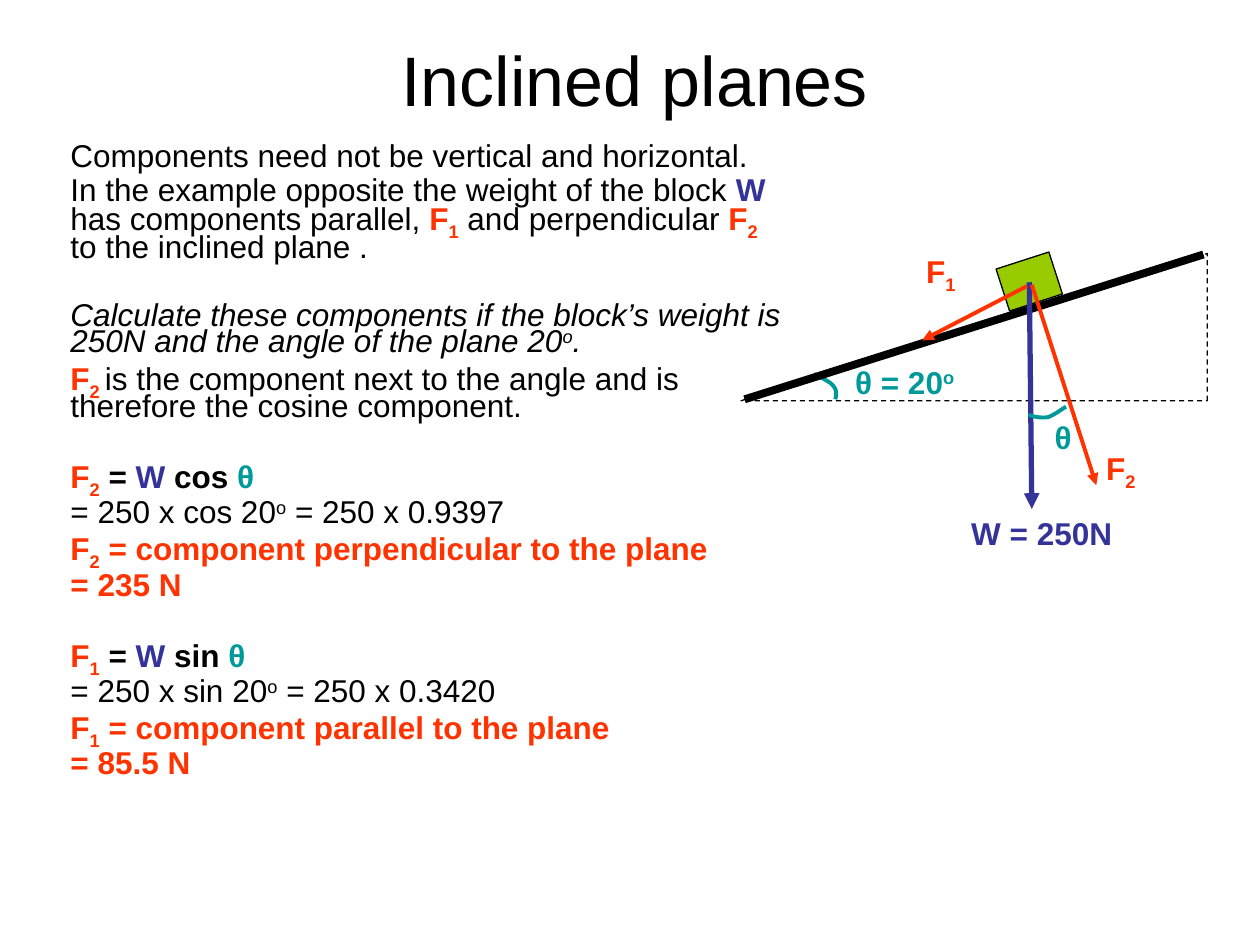
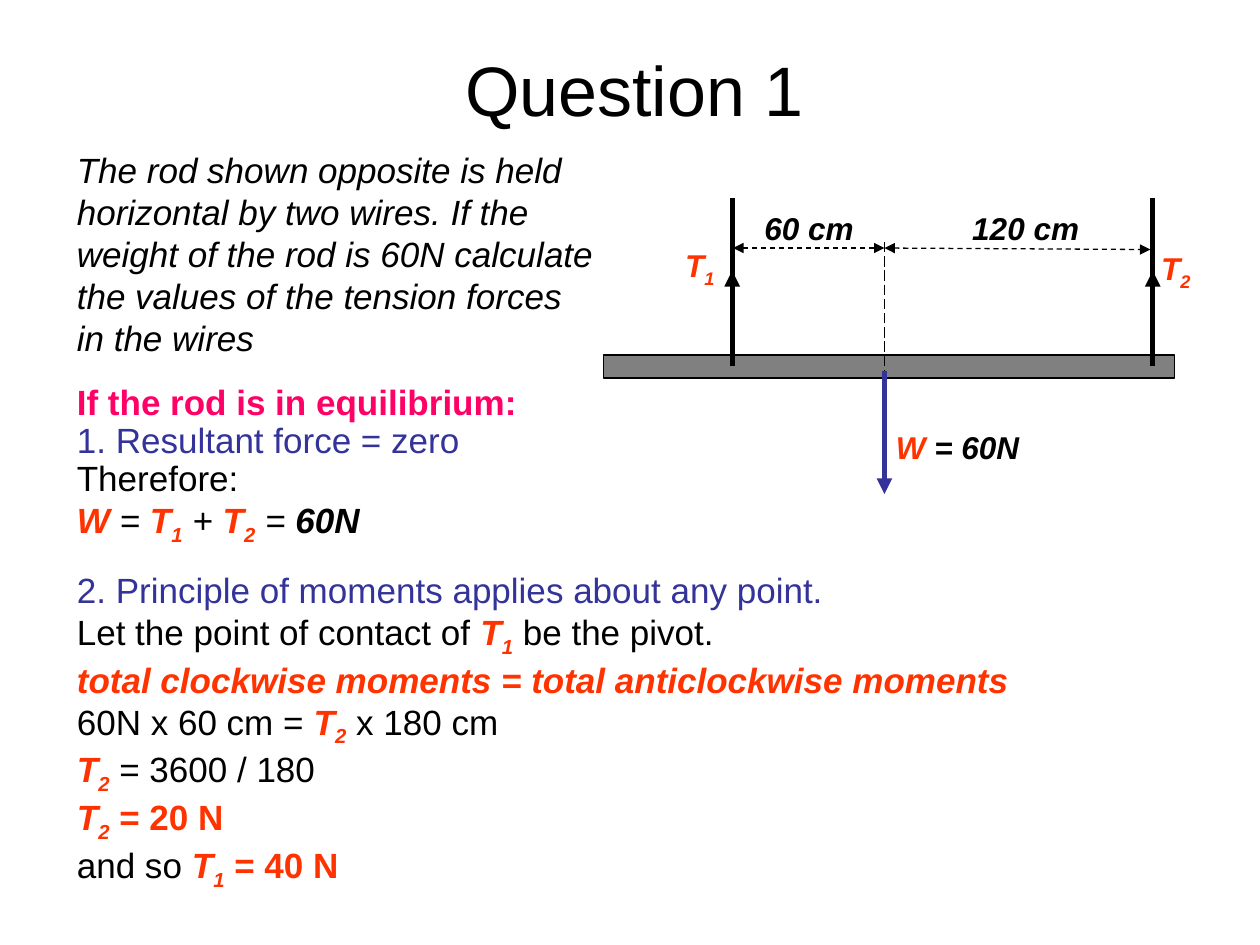
import dataclasses

import lxml.etree
import pptx
import pptx.dml.color
import pptx.enum.dml
import pptx.enum.shapes
import pptx.enum.text
import pptx.oxml.ns
import pptx.util

Cm = pptx.util.Cm
Pt = pptx.util.Pt
DASH = pptx.enum.dml.MSO_LINE.DASH
LONG_DASH = pptx.enum.dml.MSO_LINE.LONG_DASH


@dataclasses.dataclass(frozen=True)
class Theme:
    font: str = "Arial"
    title_size: int = 40
    text_size: int = 20
    small_size: int = 18
    black: str = "000000"
    red: str = "FF3300"
    blue: str = "333399"
    teal: str = "009999"
    pink: str = "FF0066"
    green: str = "99CC00"
    grey: str = "808080"
    hairline: float = 0.75
    force_line: float = 2.25
    heavy_line: float = 3
    plane_line: float = 4.5


THEME = Theme()
FORMATS = {"b": {"bold": True}, "i": {"italic": True}}
BASELINES = {"sub": "-25000", "sup": "30000"}


# Content: a run is (text, style words), a paragraph is a list of runs,
# and a block is a list of paragraphs set apart from the next block.
def symbol(letter, index, style="red b"):
    return [(letter, style), (index, style + " sub")]


F1, F2 = symbol("F", "1"), symbol("F", "2")
T1, T2 = symbol("T", "1", "red b i"), symbol("T", "2", "red b i")


def force_working(force, function, value, direction, result):
    return [
        [*force, (" = ", "b"), ("W", "blue b"), (f" {function} ", "b"), ("θ", "teal b")],
        [(f"= 250 x {function} 20", ""), ("o", "sup"), (f" = 250 x {value}", "")],
        [*force, (f" = component {direction} to the plane", "red b")],
        [(f"= {result} N", "red b")],
    ]


PLANE_TEXT = [
    [
        [("Components need not be vertical and horizontal.", "")],
        [("In the example opposite the weight of the block ", ""), ("W", "blue b"),
         (" has components parallel, ", ""), *F1, (" and perpendicular ", ""), *F2,
         (" to the inclined plane .", "")],
    ],
    [
        [("Calculate these components if the block’s weight is 250N "
          "and the angle of the plane 20", "i"), ("o", "i sup"), (".", "i")],
        [("F", "red b"), ("2 ", "red b sub"),
         ("is the component next to the angle and is therefore the cosine component.", "")],
    ],
    force_working(F2, "cos", "0.9397", "perpendicular", "235"),
    force_working(F1, "sin", "0.3420", "parallel", "85.5"),
]
# Label: runs, (left, top, width, height) in cm
PLANE_LABELS = [
    ([("W = 250N", "blue b")], (19.33, 10.24, 4.32, 1.02)),
    (F1, (18.42, 4.95, 1.52, 1.12)),
    (F2, (22.05, 8.92, 1.52, 1.12)),
    ([("θ = 20", "teal b"), ("o", "teal b sup")], (16.99, 7.19, 2.97, 1.02)),
    ([("θ", "teal b")], (21.01, 8.31, 2.11, 1.02)),
]
# Force: start, end, colour, width
PLANE_FORCES = [
    ((20.75, 5.69), (20.8, 10.26), THEME.blue, THEME.heavy_line),
    ((20.7, 5.77), (18.59, 6.86), THEME.red, THEME.force_line),
    ((20.8, 5.74), (22.1, 9.78), THEME.red, THEME.force_line),
]
# Angle mark: start point, then control, control, end for each curve
ANGLE_MARKS = [
    [(16.41, 7.54), (16.56, 7.62), (16.74, 7.7), (16.79, 7.77),
     (16.87, 7.85), (16.87, 7.95), (16.84, 8.05)],
    [(20.73, 8.36), (20.85, 8.41), (21.01, 8.43), (21.13, 8.41),
     (21.26, 8.36), (21.36, 8.28), (21.49, 8.2)],
]

QUESTION_TEXT = [[[(
    "The rod shown opposite is held horizontal by two wires. If the weight of the rod "
    "is 60N calculate the values of the tension forces in the wires", "i")]]]
EQUILIBRIUM_TEXT = [[
    [("If the rod is in equilibrium:", "pink b")],
    [("1. Resultant force = zero", "blue")],
    [("Therefore:", "")],
    [("W ", "red b i"), ("= ", "i"), *T1, (" + ", "i"), *T2, (" = ", "i"), ("60N", "b i")],
]]
MOMENTS_TEXT = [[
    [("2. Principle of moments applies about any point.", "blue")],
    [("Let the point of contact of ", ""), *T1, (" be the pivot.", "")],
    [("total clockwise moments = total anticlockwise moments", "red b i")],
    [("60N x 60 cm = ", ""), *T2, (" x 180 cm", "")],
    [*T2, (" = 3600 / 180", "")],
    [*T2, (" = 20 N", "red b")],
    [("and so ", ""), *T1, (" = 40 N", "red b")],
]]
ROD_LABELS = [
    ([("W", "red b i"), (" = 60N", "b i")], (17.81, 8.51, 3, 1.02)),
    (T2, (23.16, 4.9, 1.6, 1.12)),
    (T1, (13.56, 4.83, 1.6, 1.12)),
    ([("60 cm", "b i")], (15.16, 4.09, 2.49, 1.02)),
    ([("120 cm", "b i")], (19.35, 4.09, 2.97, 1.02)),
]
WIRES_X = (14.76, 23.24)
ROD_CENTRE_X = 17.83
SPANS = [((14.78, 5), (ROD_CENTRE_X, 5)), ((ROD_CENTRE_X, 5), (23.19, 5.03))]


# Text
def rgb(colour):
    return pptx.dml.color.RGBColor.from_string(colour)


def add_run(paragraph, text, style, size):
    run = paragraph.add_run()
    run.text = text
    values = {"name": THEME.font, "size": Pt(size)}
    colour = THEME.black
    for word in style.split():
        if word in BASELINES:
            run._r.get_or_add_rPr().set("baseline", BASELINES[word])
        elif word in FORMATS:
            values.update(FORMATS[word])
        else:
            colour = getattr(THEME, word)
    for name, value in values.items():
        setattr(run.font, name, value)
    run.font.color.rgb = rgb(colour)


def add_text(slide, blocks, box, size, frame_format=None, block_gap=0, **paragraph_format):
    frame = slide.shapes.add_textbox(*map(Cm, box)).text_frame
    for name, value in {"word_wrap": True, **(frame_format or {})}.items():
        setattr(frame, name, value)
    paragraph = None
    for number, block in enumerate(blocks):
        for line, runs in enumerate(block):
            paragraph = frame.add_paragraph() if paragraph else frame.paragraphs[0]
            for name, value in paragraph_format.items():
                setattr(paragraph, name, value)
            if number and line == 0 and block_gap:
                paragraph.space_before = Pt(block_gap)
            for text, style in runs:
                add_run(paragraph, text, style, size)


def add_title(slide, text, height):
    add_text(slide, [[[(text, "")]]], (1.27, 0.76, 23.04, height), THEME.title_size,
             {"vertical_anchor": pptx.enum.text.MSO_ANCHOR.MIDDLE},
             alignment=pptx.enum.text.PP_ALIGN.CENTER)


def add_labels(slide, labels):
    for runs, box in labels:
        add_text(slide, [[runs]], box, THEME.small_size)


# Drawing
def set_line(line, colour, width, dash=None):
    line.color.rgb = rgb(colour)
    line.width = Pt(width)
    if dash:
        line.dash_style = dash


def add_line(slide, start, end, colour=THEME.black, width=THEME.heavy_line,
             dash=None, arrows=()):
    connector = slide.shapes.add_connector(
        pptx.enum.shapes.MSO_CONNECTOR.STRAIGHT, *map(Cm, (*start, *end)))
    set_line(connector.line, colour, width, dash)
    qn = pptx.oxml.ns.qn
    for arrow in arrows:
        lxml.etree.SubElement(connector.line._get_or_add_ln(), qn(f"a:{arrow}"), type="triangle")
    lxml.etree.SubElement(connector._element.spPr, qn("a:effectLst"))


def finish_shape(shape, fill=None, colour=THEME.black, width=THEME.hairline, dash=None):
    shape.shadow.inherit = False
    if fill:
        shape.fill.solid()
        shape.fill.fore_color.rgb = rgb(fill)
    else:
        shape.fill.background()
    set_line(shape.line, colour, width, dash)


def add_shape(slide, kind, box, **look):
    shape = slide.shapes.add_shape(kind, *map(Cm, box))
    finish_shape(shape, **look)
    return shape


def add_curve(slide, points, steps=8):
    outline = [points[0]]
    for first in range(0, len(points) - 1, 3):
        a, b, c, d = points[first:first + 4]
        for step in range(1, steps + 1):
            t = step / steps
            weights = ((1 - t) ** 3, 3 * t * (1 - t) ** 2, 3 * t * t * (1 - t), t ** 3)
            outline.append(tuple(
                sum(w * p[axis] for w, p in zip(weights, (a, b, c, d))) for axis in (0, 1)))
    outline = [(Cm(x), Cm(y)) for x, y in outline]
    builder = slide.shapes.build_freeform(*outline[0])
    builder.add_line_segments(outline[1:], close=False)
    finish_shape(builder.convert_to_shape(), colour=THEME.teal, width=THEME.force_line)


# Slides
def build_inclined_plane(slide):
    shapes = pptx.enum.shapes.MSO_SHAPE
    add_title(slide, "Inclined planes", 1.63)
    add_text(slide, PLANE_TEXT, (1.17, 2.82, 14.83, 14.33), THEME.small_size,
             block_gap=24, line_spacing=0.7, space_before=Pt(4.5))
    add_curve(slide, ANGLE_MARKS[0])
    add_labels(slide, PLANE_LABELS)
    slope = add_shape(slide, shapes.RIGHT_TRIANGLE, (14.94, 5.11, 9.4, 2.97), dash=DASH)
    slope._element.spPr.xfrm.set("flipH", "1")
    add_line(slide, (15.01, 8.05), (24.26, 5.13), width=THEME.plane_line)
    block = add_shape(slide, shapes.RECTANGLE, (20.19, 5.23, 1.12, 0.89), fill=THEME.green)
    block.rotation = 342.1
    for start, end, colour, width in PLANE_FORCES:
        add_line(slide, start, end, colour, width, arrows=["tailEnd"])
    add_curve(slide, ANGLE_MARKS[1])


def build_rod_question(slide):
    add_title(slide, "Question 1", 2.03)
    add_text(slide, EQUILIBRIUM_TEXT, (1.3, 7.65, 10.46, 4.14), THEME.text_size,
             line_spacing=0.9)
    add_shape(slide, pptx.enum.shapes.MSO_SHAPE.RECTANGLE, (12.17, 7.16, 11.51, 0.46),
              fill=THEME.grey)
    # Weight below the centre of the rod
    add_line(slide, (ROD_CENTRE_X, 4.88), (ROD_CENTRE_X, 9.83),
             width=THEME.hairline, dash=LONG_DASH)
    add_line(slide, (ROD_CENTRE_X, 7.47), (ROD_CENTRE_X, 9.96), THEME.blue, arrows=["tailEnd"])
    # Wires with their tension arrows
    for x in WIRES_X:
        add_line(slide, (x, 7.37), (x, 3.99))
        add_line(slide, (x, 6.2), (x, 5.46), arrows=["tailEnd"])
    for start, end in SPANS:
        add_line(slide, start, end, width=THEME.hairline, dash=DASH,
                 arrows=["headEnd", "tailEnd"])
    add_labels(slide, ROD_LABELS)
    add_text(slide, MOMENTS_TEXT, (1.3, 11.33, 21.36, 6.78), THEME.text_size)
    add_text(slide, QUESTION_TEXT, (1.3, 2.87, 10.95, 4.5), THEME.text_size)


def main():
    deck = pptx.Presentation()
    deck.slide_width, deck.slide_height = Cm(25.4), Cm(19.05)
    for build in (build_inclined_plane, build_rod_question):
        build(deck.slides.add_slide(deck.slide_layouts[6]))
    deck.save("out.pptx")


if __name__ == "__main__":
    main()
